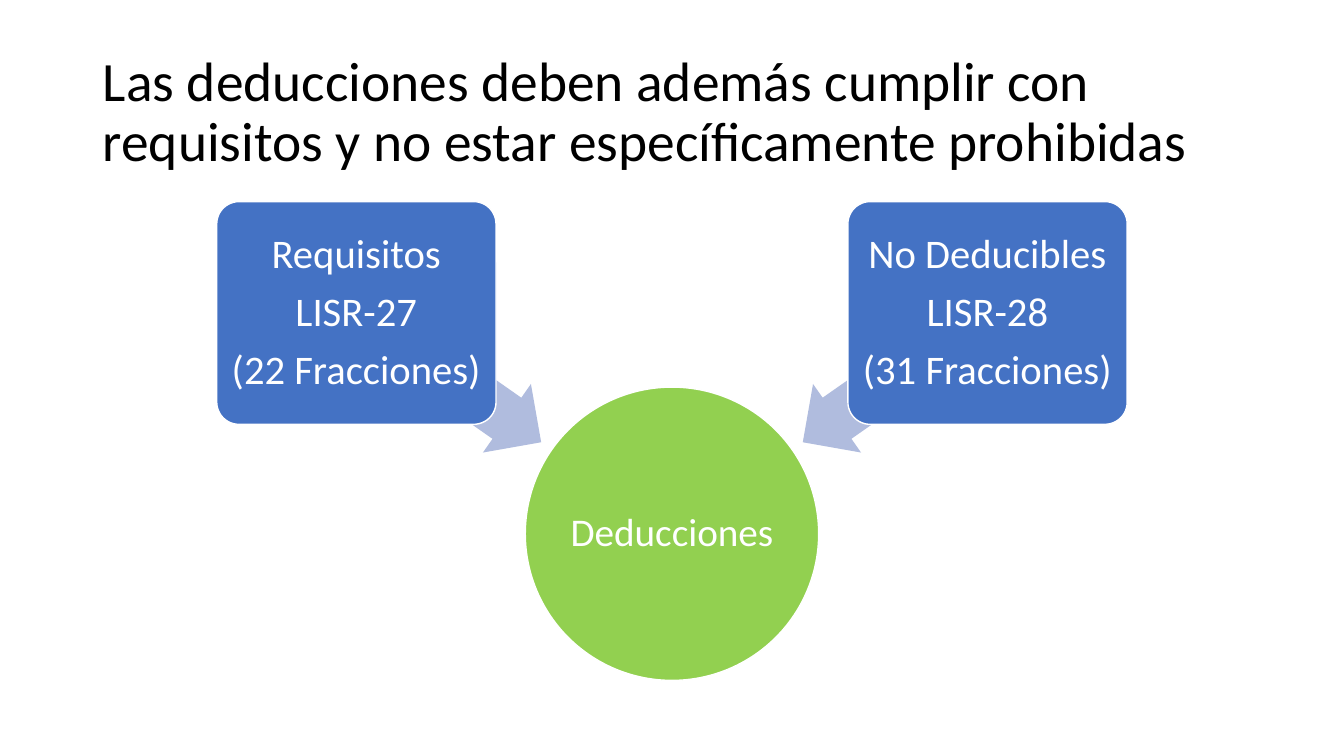
from dataclasses import dataclass

from pptx import Presentation
from pptx.dml.color import RGBColor
from pptx.enum.shapes import MSO_SHAPE
from pptx.enum.text import MSO_ANCHOR, MSO_AUTO_SIZE, PP_ALIGN
from pptx.util import Inches, Pt


@dataclass(frozen=True)
class Theme:
    font: str = "Calibri"
    black: RGBColor = RGBColor(0x00, 0x00, 0x00)
    white: RGBColor = RGBColor(0xFF, 0xFF, 0xFF)
    blue: RGBColor = RGBColor(0x44, 0x72, 0xC4)
    pale_blue: RGBColor = RGBColor(0xB0, 0xBC, 0xDE)
    green: RGBColor = RGBColor(0x92, 0xD0, 0x50)
    title_size: float = 39.6
    card_size: float = 29
    circle_size: float = 28


theme = Theme()


def write_text(shape, text, *, size, color, align, inset=None, space_after=0):
    frame = shape.text_frame
    frame.text = text
    frame.word_wrap = True
    frame.auto_size = MSO_AUTO_SIZE.NONE
    frame.vertical_anchor = MSO_ANCHOR.MIDDLE
    if inset is not None:
        frame.margin_left = frame.margin_right = Inches(inset)
        frame.margin_top = frame.margin_bottom = Inches(inset)
    for paragraph in frame.paragraphs:
        paragraph.alignment = align
        paragraph.line_spacing = 0.9
        paragraph.space_before = Pt(0)
        paragraph.space_after = Pt(space_after)
        paragraph.font.name = theme.font
        paragraph.font.size = Pt(size)
        paragraph.font.color.rgb = color


def add_block(slide, kind, left, top, width, height, fill, line=None):
    shape = slide.shapes.add_shape(
        kind, Inches(left), Inches(top), Inches(width), Inches(height))
    shape.shadow.inherit = False
    shape.fill.solid()
    shape.fill.fore_color.rgb = fill
    if line is None:
        shape.line.fill.background()
    else:
        shape.line.color.rgb = line
        shape.line.width = Pt(1)
    return shape


presentation = Presentation()
presentation.slide_width = Inches(13.33)
presentation.slide_height = Inches(7.5)
slide = presentation.slides.add_slide(presentation.slide_layouts[5])

# Title
title = slide.shapes.title
title.left, title.top = Inches(0.92), Inches(0.4)
title.width, title.height = Inches(11.5), Inches(1.45)
write_text(
    title,
    "Las deducciones deben además cumplir con requisitos "
    "y no estar específicamente prohibidas",
    size=theme.title_size, color=theme.black, align=PP_ALIGN.LEFT)

# Central circle
circle = add_block(slide, MSO_SHAPE.OVAL, 5.21, 3.84, 2.91, 2.91,
                   theme.green, theme.white)
write_text(circle, "Deducciones", size=theme.circle_size, color=theme.white,
           align=PP_ALIGN.CENTER, inset=0.02, space_after=9.8)

# Cards, each with an arrow behind it that points to the circle
cards = [
    (2.15, 3.33, 215, "Requisitos\nLISR-27\n(22 Fracciones)"),
    (8.41, 7.76, 325, "No Deducibles\nLISR-28\n(31 Fracciones)"),
]
for card_left, arrow_left, rotation, text in cards:
    arrow = add_block(slide, MSO_SHAPE.LEFT_ARROW, arrow_left, 3.33, 2.24, 0.83,
                      theme.pale_blue)
    arrow.adjustments[0] = 0.6
    arrow.adjustments[1] = 0.5
    arrow.rotation = rotation

    card = add_block(slide, MSO_SHAPE.ROUNDED_RECTANGLE, card_left, 2, 2.77, 2.21,
                     theme.blue, theme.white)
    card.adjustments[0] = 0.1
    write_text(card, text, size=theme.card_size, color=theme.white,
               align=PP_ALIGN.CENTER, inset=0.06, space_after=10.15)

presentation.save("out.pptx")
